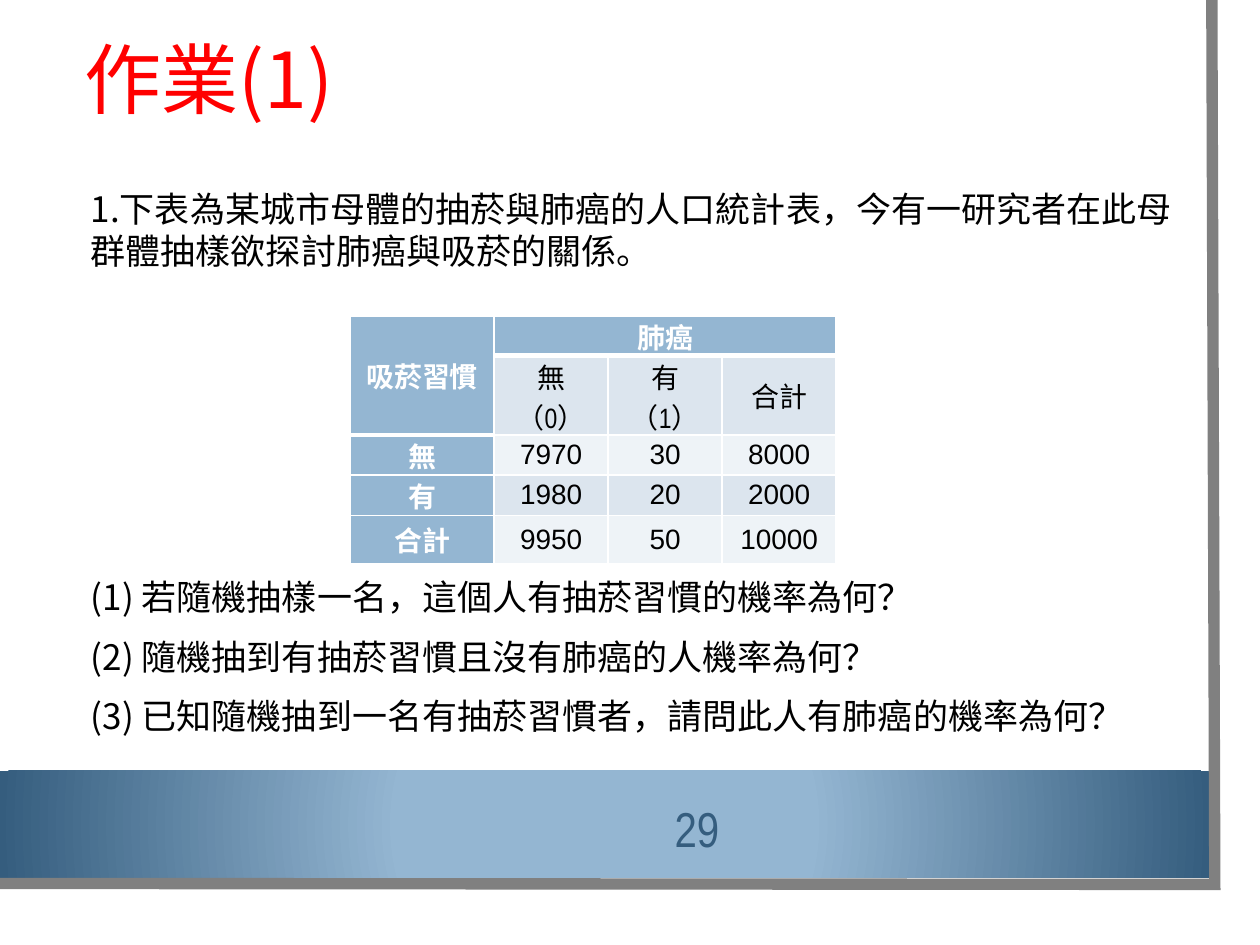
"""Build the homework slide with the smoking and lung cancer table."""
from lxml.etree import SubElement
from pptx import Presentation
from pptx.dml.color import RGBColor as Rgb
from pptx.enum.shapes import MSO_SHAPE as Shape
from pptx.enum.text import MSO_ANCHOR as Anchor, PP_ALIGN as Align
from pptx.oxml import parse_xml
from pptx.oxml.ns import nsdecls, qn
from pptx.util import Cm, Pt

COLOURS = {
    "white": "FFFFFF", "black": "000000", "title": "FF0000", "edge": "808080",
    "sky": "94B6D2", "navy": "355D7E", "pale": "DCE5EE", "paler": "EEF3F7",
}
CJK = "Noto Sans CJK SC"
NARROW = "Arial Narrow"
INTRO = ["1.下表為某城市母體的抽菸與肺癌的人口統計表，今有一研究者在此母群體抽樣欲探討肺癌與吸菸的關係。"]
QUESTIONS = [
    "(1) 若隨機抽樣一名，這個人有抽菸習慣的機率為何？",
    "(2) 隨機抽到有抽菸習慣且沒有肺癌的人機率為何？",
    "(3) 已知隨機抽到一名有抽菸習慣者，請問此人有肺癌的機率為何？",
]
TABLE = [
    ["吸菸習慣", "肺癌", "", ""],
    ["", "無（0）", "有（1）", "合計"],
    ["無", "7970", "30", "8000"],
    ["有", "1980", "20", "2000"],
    ["合計", "9950", "50", "10000"],
]
COLUMN_WIDTHS = [2.9, 2.3, 2.3, 2.3]
ROW_HEIGHTS = [0.79, 1.6, 0.81, 0.81, 0.97]


class Painter:
    """Hold the style and the current page."""

    def __init__(self, page):
        self.page = page

    def span(self, para, text, colour, **formats):
        span = para.add_run()
        span.text = text
        for name, value in formats.items():
            setattr(span.font, name, value)
        span.font.color.rgb = Rgb.from_string(COLOURS[colour])
        SubElement(span.font._element, qn("a:ea"), typeface=CJK)

    def text(self, place, lines, colour, layout, paragraph, **formats):
        frame = self.page.shapes.add_textbox(*map(Cm, place)).text_frame
        for name, value in {"word_wrap": True, **layout}.items():
            setattr(frame, name, value)
        for index, line in enumerate(lines):
            para = frame.add_paragraph() if index else frame.paragraphs[0]
            for name, value in paragraph.items():
                if index or name != "space_before":
                    setattr(para, name, value)
            self.span(para, line, colour, **formats)

    def rectangle(self, place, colour):
        box = self.page.shapes.add_shape(Shape.RECTANGLE, *map(Cm, place))
        box.shadow.inherit = False
        box.line.fill.background()
        box.fill.solid()
        box.fill.fore_color.rgb = Rgb.from_string(COLOURS[colour])
        return box

    def glow(self, place, inner, outer):
        box = self.rectangle(place, inner)
        stops = "".join(
            f'<a:gs pos="{position}"><a:srgbClr val="{COLOURS[colour]}"/></a:gs>'
            for position, colour in ((34000, inner), (100000, outer)))
        gradient = parse_xml(
            f'<a:gradFill {nsdecls("a")} rotWithShape="1"><a:gsLst>{stops}</a:gsLst>'
            '<a:path path="circle"><a:fillToRect l="50000" t="50000" r="50000" b="50000"/>'
            '</a:path></a:gradFill>')
        solid = box._element.spPr.find(qn("a:solidFill"))
        solid.getparent().replace(solid, gradient)

    def outline(self, points, colour, width):
        start, *others = [(Cm(x), Cm(y)) for x, y in points]
        builder = self.page.shapes.build_freeform(*start)
        builder.add_line_segments(others, close=False)
        edge = builder.convert_to_shape()
        edge.shadow.inherit = False
        edge.fill.background()
        edge.line.color.rgb = Rgb.from_string(COLOURS[colour])
        edge.line.width = Pt(width)
        SubElement(edge.line._get_or_add_ln(), qn("a:miter"), lim="800000")

    def borders(self, cell, widths):
        properties = cell._tc.get_or_add_tcPr()
        for index, (side, width) in enumerate(widths.items()):
            properties.insert(index, parse_xml(
                f'<a:ln{side} {nsdecls("a")} w="{Pt(width)}"><a:solidFill>'
                f'<a:srgbClr val="{COLOURS["white"]}"/></a:solidFill></a:ln{side}>'))

    def table(self, left, top, rows):
        size = Cm(sum(COLUMN_WIDTHS)), Cm(sum(ROW_HEIGHTS))
        grid = self.page.shapes.add_table(
            len(rows), len(rows[0]), Cm(left), Cm(top), *size).table
        grid.first_row = grid.horz_banding = False
        for column, width in zip(grid.columns, COLUMN_WIDTHS):
            column.width = Cm(width)
        for row, height in zip(grid.rows, ROW_HEIGHTS):
            row.height = Cm(height)
        grid.cell(0, 0).merge(grid.cell(1, 0))
        grid.cell(0, 1).merge(grid.cell(0, 3))
        for r, values in enumerate(rows):
            for c, value in enumerate(values):
                self.cell(grid.cell(r, c), r, c, value)

    def cell(self, cell, r, c, value):
        heading = r == 0 or c == 0
        fill = "sky" if heading else "pale" if r % 2 else "paler"
        cell.fill.solid()
        cell.fill.fore_color.rgb = Rgb.from_string(COLOURS[fill])
        formats = {"vertical_anchor": Anchor.MIDDLE, "margin_left": Cm(0.18),
                   "margin_right": Cm(0.18), "margin_top": 0, "margin_bottom": 0}
        for name, setting in formats.items():
            setattr(cell, name, setting)
        last_heading_row = 0 if c else 1
        self.borders(cell, {
            "L": 1, "R": 1,
            "T": 3 if r == last_heading_row + 1 else 1,
            "B": 3 if r == last_heading_row or r == c == 0 else 1})
        if value:
            para = cell.text_frame.paragraphs[0]
            para.alignment = Align.CENTER
            self.span(para, value, "white" if heading else "black", size=Pt(16),
                      bold=heading, name="Arial" if value.isdigit() else NARROW)


def main():
    deck = Presentation()
    deck.slide_width, deck.slide_height = Cm(25.4), Cm(19.05)
    painter = Painter(deck.slides.add_slide(deck.slide_layouts[6]))
    painter.rectangle((0, 0, 24.97, 18.47), "white")
    painter.glow((0, 15.54, 24.38, 2.16), "sky", "navy")
    painter.outline([(24.43, 0), (24.49, 17.83), (-0.05, 17.81)], "edge", 6.5)
    middle = {"vertical_anchor": Anchor.MIDDLE}
    painter.text((1.45, 0.08, 21.67, 3.2), ["作業(1)"], "title", middle,
                 {"line_spacing": 0.9}, size=Pt(44), name=CJK)
    indented = {"margin_left": Cm(0.56)}
    for top, height, lines in ((3.66, 2.5, INTRO), (11.48, 4, QUESTIONS)):
        painter.text((1.27, top, 22.86, height), lines, "black", indented,
                     {"space_before": Pt(10)}, size=Pt(20), name=CJK)
    painter.text((13.11, 16, 1.88, 1.4), ["29"], "navy", middle,
                 {"alignment": Align.CENTER}, size=Pt(28), name=NARROW)
    painter.table(7.06, 6.38, TABLE)
    deck.save("out.pptx")


if __name__ == "__main__":
    main()
